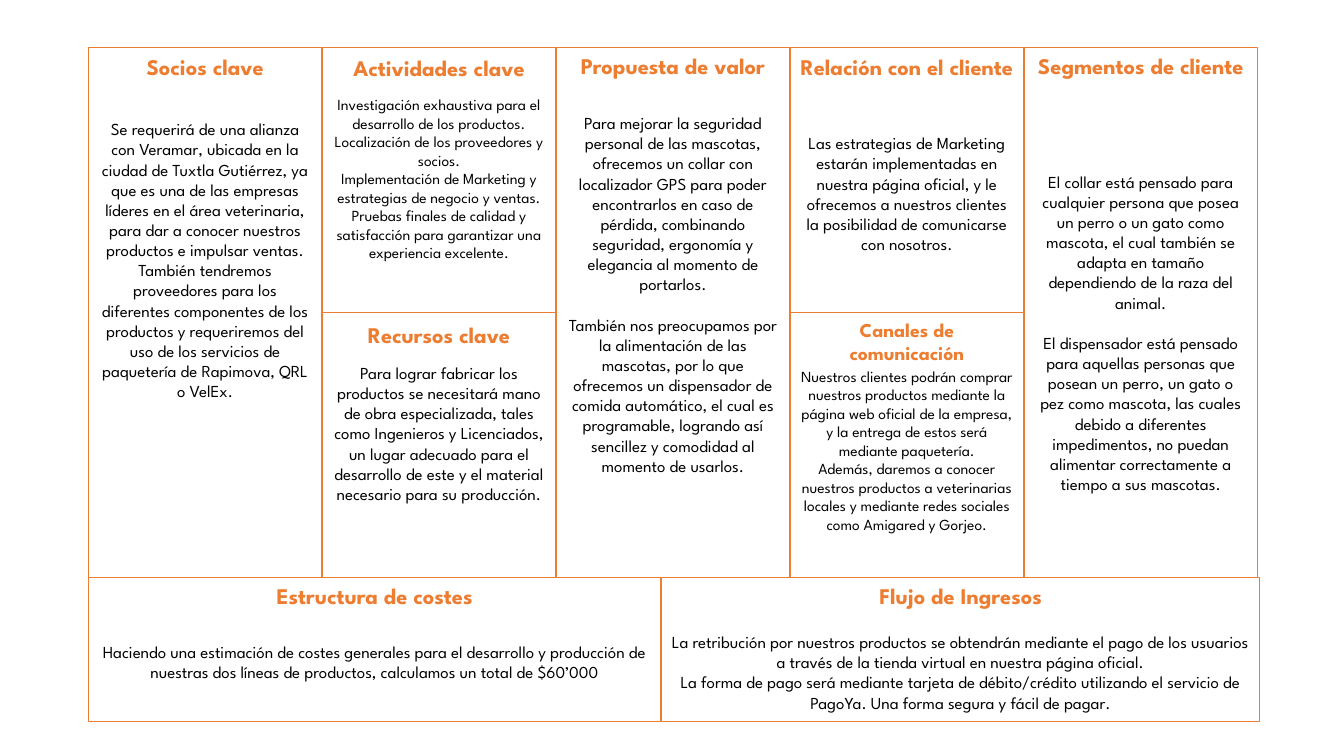
"""Business model canvas for a pet products company."""
from pptx import Presentation
from pptx.dml.color import RGBColor
from pptx.enum.shapes import MSO_CONNECTOR, MSO_SHAPE
from pptx.enum.text import MSO_AUTO_SIZE, PP_ALIGN
from pptx.oxml.ns import qn
from pptx.util import Inches, Pt

COLORS = {"accent": "ED7D31", "text": "000000", "panel": "FFFFFF"}
FONT = "League Spartan"
LEFT, TOP = 0.88, 0.47
COLUMN, ROW, GAP = 2.32, 0.263, 0.01


class Canvas:
    """Holds the style and the current slide; lengths are grid columns and rows."""

    def __init__(self, slide):
        self.shapes = slide.shapes

    def color(self, name):
        return RGBColor.from_string(COLORS[name])

    def place(self, column, row):
        return Inches(LEFT + column * COLUMN), Inches(TOP + row * ROW)

    def area(self, column, row, columns, rows):
        size = Inches(columns * COLUMN - GAP), Inches(rows * ROW)
        return *self.place(column, row), *size

    def panel(self, column, row, columns, rows):
        panel = self.shapes.add_shape(MSO_SHAPE.RECTANGLE, *self.area(column, row, columns, rows))
        panel.shadow.inherit = False
        panel.fill.solid()
        panel.fill.fore_color.rgb = self.color("panel")
        panel.line.color.rgb = self.color("accent")
        panel.line.width = Pt(1)

    def divider(self, column, row):
        divider = self.shapes.add_connector(
            MSO_CONNECTOR.STRAIGHT, *self.place(column, row), *self.place(column + 1, row))
        divider.line.color.rgb = self.color("accent")
        divider.line.width = Pt(0.5)
        properties = divider._element.spPr
        properties.append(properties.makeelement(qn("a:effectLst"), {}))

    def text(self, area, paragraphs, size, color, bold=False, gap=0):
        frame = self.shapes.add_textbox(*self.area(*area)).text_frame
        frame.word_wrap = True
        frame.auto_size = MSO_AUTO_SIZE.SHAPE_TO_FIT_TEXT
        frame.text = "\n".join(paragraphs)
        for index, paragraph in enumerate(frame.paragraphs):
            paragraph.alignment = PP_ALIGN.CENTER
            if index:
                paragraph.space_before = Pt(gap)
            font = paragraph.runs[0].font
            font.name, font.size, font.bold = FONT, Pt(size), bold
            font.color.rgb = self.color(color)

    def block(self, column, columns, title, body, paragraphs, gap=0):
        heading, title_row, title_rows, title_size = title
        body_row, body_rows, body_size = body
        self.text((column, title_row, columns, title_rows), [heading], title_size, "accent", True)
        self.text((column, body_row, columns, body_rows), paragraphs, body_size, "text", gap=gap)


PANELS = [(column, 0, 1, 20) for column in range(5)]
PANELS += [(0, 20, 2.45, 5.44), (2.45, 20, 2.56, 5.44)]

BLOCKS = [
    (0, 1, ("Socios clave", 0.04, 1.41, 16), (2.51, 14.22, 12), [
        "Se requerirá de una alianza con Veramar, ubicada en la ciudad de Tuxtla Gutiérrez, "
        "ya que es una de las empresas líderes en el área veterinaria, para dar a conocer "
        "nuestros productos e impulsar ventas.",
        "También tendremos proveedores para los diferentes componentes de los productos y "
        "requeriremos del uso de los servicios de paquetería de Rapimova, QRL o VelEx."]),
    (1, 1, ("Actividades clave", 0.08, 1.41, 16), (1.63, 8.9, 11), [
        "Investigación exhaustiva para el desarrollo de los productos.",
        "Localización de los proveedores y socios.",
        "Implementación de Marketing y estrategias de negocio y ventas.",
        "Pruebas finales de calidad y satisfacción para garantizar una experiencia excelente."]),
    (1, 1, ("Recursos clave", 10.15, 1.41, 16), (11.71, 8.06, 12), [
        "Para lograr fabricar los productos se necesitará mano de obra especializada, tales "
        "como Ingenieros y Licenciados, un lugar adecuado para el desarrollo de este y el "
        "material necesario para su producción."]),
    (2, 1, ("Propuesta de valor", 0, 1.41, 16), (2.28, 16.5, 12), [
        "Para mejorar la seguridad personal de las mascotas, ofrecemos un collar con "
        "localizador GPS para poder encontrarlos en caso de pérdida, combinando seguridad, "
        "ergonomía y elegancia al momento de portarlos.",
        "También nos preocupamos por la alimentación de las mascotas, por lo que ofrecemos "
        "un dispensador de comida automático, el cual es programable, logrando así "
        "sencillez y comodidad al momento de usarlos."], 14.4),
    (3, 1, ("Relación con el cliente", 0.04, 2.43, 16), (3.04, 6.54, 12), [
        "Las estrategias de Marketing estarán implementadas en nuestra página oficial, y le "
        "ofrecemos a nuestros clientes la posibilidad de comunicarse con nosotros."]),
    (3, 1, ("Canales de comunicación", 10, 2.17, 14), (11.86, 8.14, 11), [
        "Nuestros clientes podrán comprar nuestros productos mediante la página web oficial "
        "de la empresa, y la entrega de estos será mediante paquetería.",
        "Además, daremos a conocer nuestros productos a veterinarias locales y mediante "
        "redes sociales como Amigared y Gorjeo."]),
    (4, 1, ("Segmentos de cliente", 0, 2.43, 16), (4.49, 14.22, 12), [
        "El collar está pensado para cualquier persona que posea un perro o un gato como "
        "mascota, el cual también se adapta en tamaño dependiendo de la raza del animal.",
        "El dispensador está pensado para aquellas personas que posean un perro, un gato o "
        "pez como mascota, las cuales debido a diferentes impedimentos, no puedan alimentar "
        "correctamente a tiempo a sus mascotas."], 14.4),
    (0, 2.45, ("Estructura de costes", 20, 1.41, 16), (22.24, 2.7, 12), [
        "Haciendo una estimación de costes generales para el desarrollo y producción de "
        "nuestras dos líneas de productos, calculamos un total de $60’000"]),
    (2.45, 2.56, ("Flujo de Ingresos", 20, 1.41, 16), (21.86, 3.46, 12), [
        "La retribución por nuestros productos se obtendrán mediante el pago de los usuarios "
        "a través de la tienda virtual en nuestra página oficial.",
        "La forma de pago será mediante tarjeta de débito/crédito utilizando el servicio de "
        "PagoYa. Una forma segura y fácil de pagar."]),
]

presentation = Presentation()
presentation.slide_width, presentation.slide_height = Inches(13.33), Inches(7.5)
canvas = Canvas(presentation.slides.add_slide(presentation.slide_layouts[6]))
for panel in PANELS:
    canvas.panel(*panel)
for column in (1, 3):
    canvas.divider(column, 10)
for block in BLOCKS:
    canvas.block(*block)
presentation.save("out.pptx")
